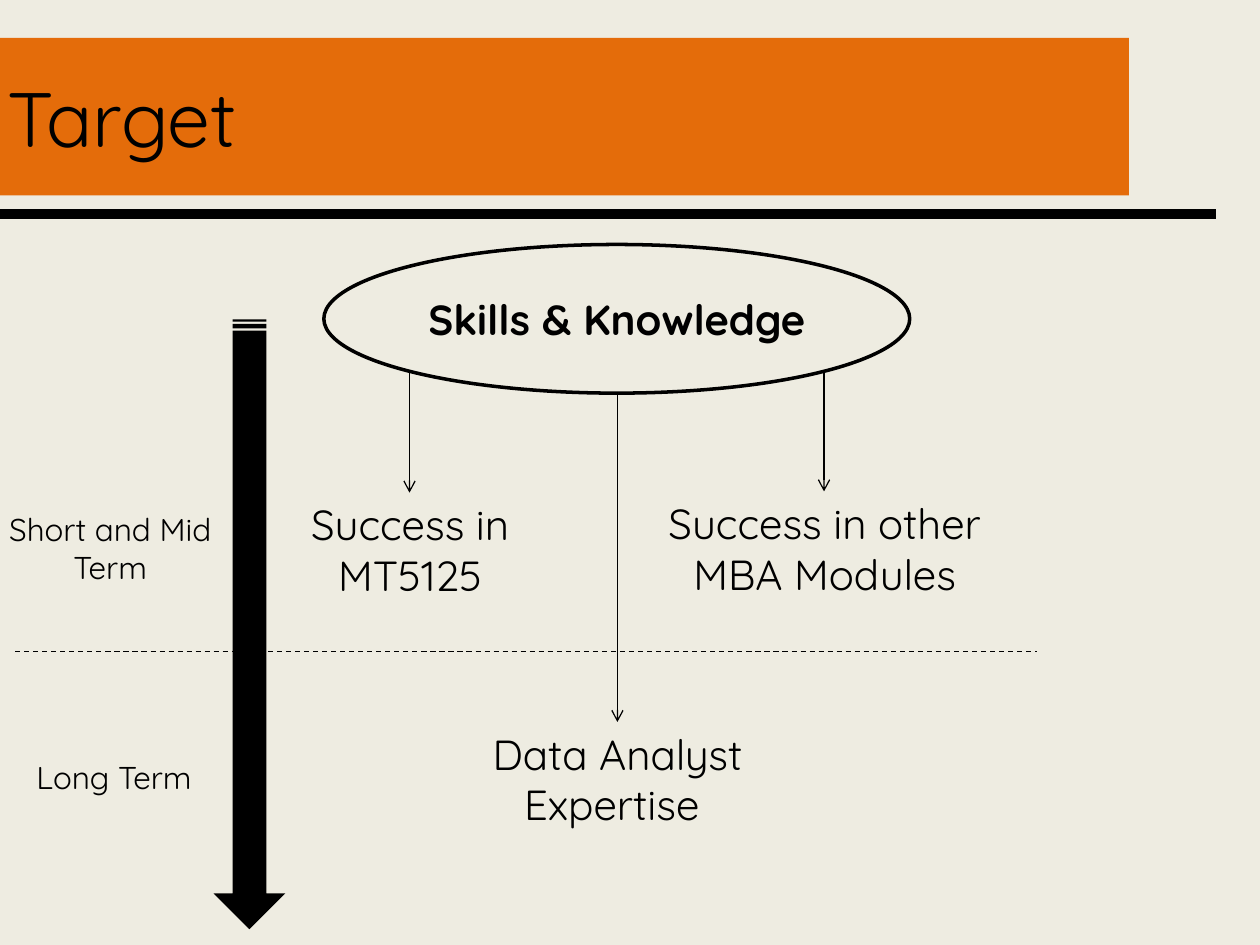
from pptx import Presentation
from pptx.dml.color import RGBColor
from pptx.enum.dml import MSO_LINE
from pptx.enum.shapes import MSO_CONNECTOR, MSO_SHAPE
from pptx.enum.text import MSO_ANCHOR, MSO_AUTO_SIZE, PP_ALIGN
from pptx.oxml.ns import qn
from pptx.util import Pt
from lxml.etree import SubElement

PX = 9144  # EMU per px, 100 px to the inch
BLACK, ORANGE, CREAM = "000000", "E46C0A", "EEECE1"


def px(*lengths):
    return [length * PX for length in lengths]


def color(hex_value):
    return RGBColor.from_string(hex_value)


class SlideBuilder:
    font = "Quicksand"

    def __init__(self, deck):
        self.slide = deck.slides.add_slide(deck.slide_layouts[5])
        fill = self.slide.background.fill
        fill.solid()
        fill.fore_color.rgb = color(CREAM)

    def set_text(self, frame, text, size, align=PP_ALIGN.CENTER, bold=False):
        frame.text = text
        frame.word_wrap = True
        para = frame.paragraphs[0]
        para.alignment = align
        for span in para.runs:
            span.font.name = self.font
            span.font.size = Pt(size)
            span.font.bold = bold
            span.font.color.rgb = color(BLACK)

    def title(self, text, left, top, width, height):
        box = self.slide.shapes.title
        box.left, box.top, box.width, box.height = px(left, top, width, height)
        box.fill.solid()
        box.fill.fore_color.rgb = color(ORANGE)
        frame = box.text_frame
        self.set_text(frame, text, 44, PP_ALIGN.LEFT)
        frame.vertical_anchor = MSO_ANCHOR.MIDDLE
        frame.auto_size = MSO_AUTO_SIZE.NONE

    def shape(self, kind, left, top, width, height, fill=None, line=None):
        box = self.slide.shapes.add_shape(kind, *px(left, top, width, height))
        box.shadow.inherit = False
        if fill:
            box.fill.solid()
            box.fill.fore_color.rgb = color(fill)
        else:
            box.fill.background()
        if line:
            box.line.color.rgb = color(BLACK)
            box.line.width = Pt(line)
        else:
            box.line.fill.background()
        return box

    def label(self, text, left, top, width, height, size):
        box = self.slide.shapes.add_textbox(*px(left, top, width, height))
        self.set_text(box.text_frame, text, size)
        box.text_frame.auto_size = MSO_AUTO_SIZE.SHAPE_TO_FIT_TEXT

    def line(self, x1, y1, x2, y2, weight=0.75, dashed=False, arrow=False):
        rule = self.slide.shapes.add_connector(
            MSO_CONNECTOR.STRAIGHT, *px(x1, y1, x2, y2))
        rule.line.color.rgb = color(BLACK)
        rule.line.width = Pt(weight)
        if dashed:
            rule.line.dash_style = MSO_LINE.DASH
        properties = rule._element.spPr
        if arrow:
            SubElement(properties.find(qn("a:ln")), qn("a:tailEnd"), type="arrow")
        SubElement(properties, qn("a:effectLst"))


def main():
    deck = Presentation()
    deck.slide_width, deck.slide_height = px(1000, 750)
    page = SlideBuilder(deck)

    # Header
    page.line(0, 170, 965, 170, weight=6)
    page.title("Target", -4, 30, 900, 125)

    # Starting point
    source = page.shape(MSO_SHAPE.OVAL, 257, 194, 465, 118, line=2)
    page.set_text(source.text_frame, "Skills & Knowledge", 24, bold=True)
    source.text_frame.vertical_anchor = MSO_ANCHOR.MIDDLE

    # Goals, each centred under its arrow: text, centre, arrow start, top, width
    goals = [
        ("Success in MT5125", 325, 295, 391, 197),
        ("Success in other MBA Modules", 654, 295, 390, 283),
        ("Data Analyst Expertise ", 490, 312, 573, 312),
    ]
    for text, center, start, top, width in goals:
        page.line(center, start, center, top, arrow=True)
        page.label(text, center - width // 2, top, width, 91, 24)

    # Time axis
    axis = page.shape(MSO_SHAPE.STRIPED_RIGHT_ARROW, -44, 467, 484, 57, fill=BLACK)
    axis.rotation = 90
    axis.adjustments[0] = 0.47
    axis.adjustments[1] = 0.5
    page.label("Short and Mid Term", -3, 400, 181, 71, 18)
    page.label("Long Term", 0, 597, 181, 40, 18)
    page.line(12, 517, 823, 517, dashed=True)

    deck.save("out.pptx")


if __name__ == "__main__":
    main()
